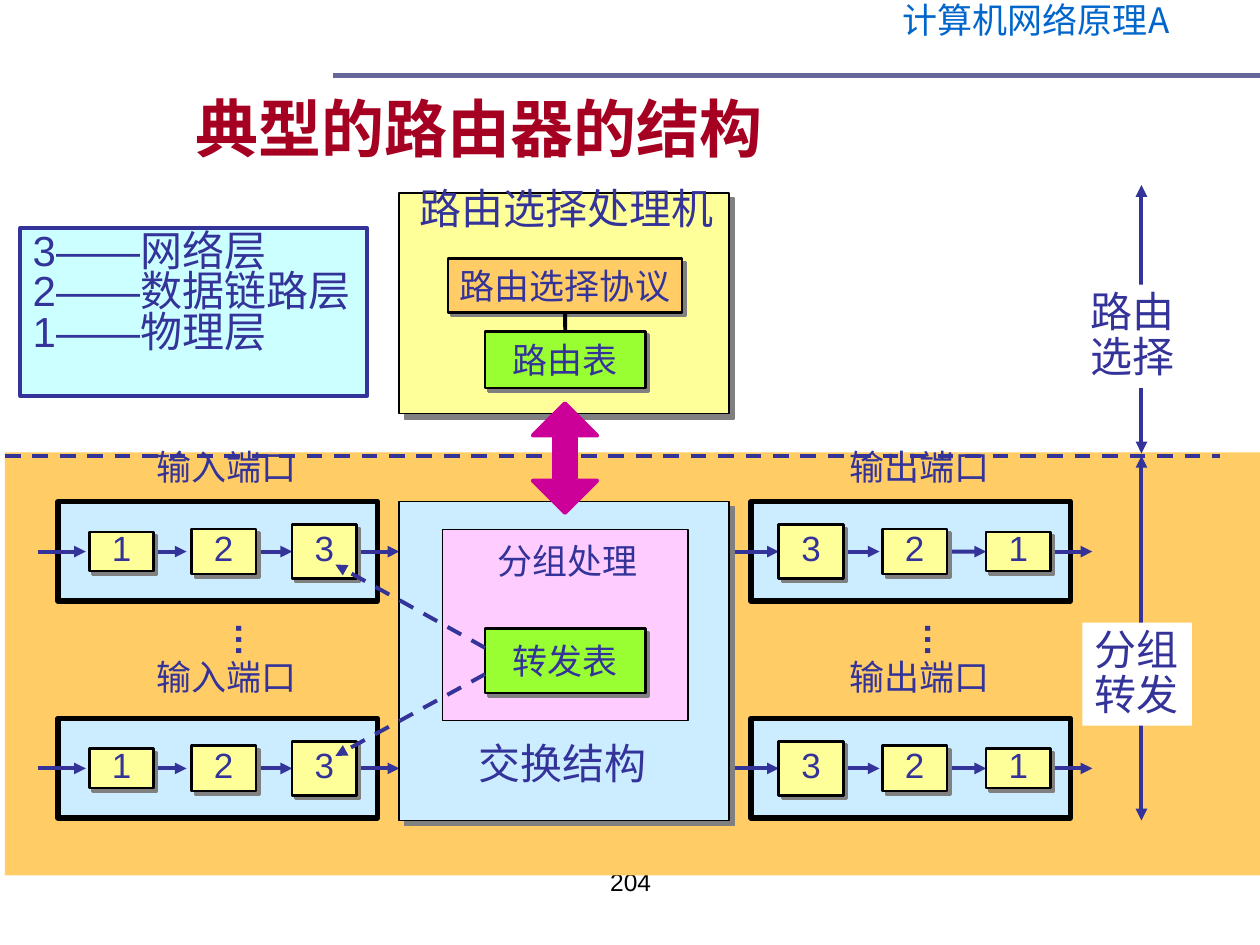
from dataclasses import dataclass

from lxml.etree import SubElement
from pptx import Presentation
from pptx.dml.color import RGBColor
from pptx.enum.dml import MSO_LINE
from pptx.enum.shapes import MSO_CONNECTOR, MSO_SHAPE
from pptx.enum.text import MSO_ANCHOR, MSO_AUTO_SIZE, PP_ALIGN
from pptx.oxml.ns import qn
from pptx.util import Cm, Pt


@dataclass(frozen=True)
class Theme:
    ink: str = "333399"
    black: str = "000000"
    white: str = "FFFFFF"
    header: str = "0066CC"
    rule: str = "666699"
    title: str = "A50021"
    orange: str = "FFCC66"
    yellow: str = "FFFF99"
    green: str = "99FF33"
    blue: str = "CCECFF"
    cyan: str = "CCFFFF"
    pink: str = "FFCCFF"
    magenta: str = "CC0099"
    shadow: str = "808080"
    font: str = "Arial"
    header_font: str = "Noto Sans CJK SC"
    title_size: int = 36
    large: int = 24
    medium: int = 20
    small: int = 14


THEME = Theme()
BLOCK_WIDTH = 1.3
BLOCK_HEIGHTS = {"1": 0.79, "2": 0.91, "3": 1.09}
LANES = [(11.12, 9.02), (15.49, 13.26)]  # lane axis, port caption top


def rgb(value):
    return RGBColor.from_string(value)


def write(frame, text, size, color=THEME.ink, font=THEME.font, bold=False,
          align=PP_ALIGN.LEFT, spacing=None):
    frame.text = text
    for paragraph in frame.paragraphs:
        paragraph.alignment = align
        if spacing:
            paragraph.line_spacing = spacing
        for run in paragraph.runs:
            run.font.size = Pt(size)
            run.font.name = font
            run.font.bold = bold
            run.font.color.rgb = rgb(color)


def add_shadow(shape, distance):
    effects = shape._element.spPr.find(qn("a:effectLst"))
    outer = SubElement(effects, qn("a:outerShdw"), blurRad="0",
                       dist=str(Pt(distance)), dir="2700000", algn="ctr", rotWithShape="0")
    SubElement(outer, qn("a:srgbClr"), val=THEME.shadow)


def add_panel(slide, area, fill, line=None, width=1, shadow=0, kind=MSO_SHAPE.RECTANGLE):
    panel = slide.shapes.add_shape(kind, *map(Cm, area))
    panel.shadow.inherit = False
    panel.fill.solid()
    panel.fill.fore_color.rgb = rgb(fill)
    if line:
        panel.line.color.rgb = rgb(line)
        panel.line.width = Pt(width)
    else:
        panel.line.fill.background()
    if shadow:
        add_shadow(panel, shadow)
    return panel


def add_block(slide, area, text, fill, spacing=None):
    """Small shadowed box with centred text."""
    block = add_panel(slide, area, fill, THEME.black, 1.5, 2.8)
    block.text_frame.word_wrap = False
    block.text_frame.vertical_anchor = MSO_ANCHOR.MIDDLE
    write(block.text_frame, text, THEME.medium, align=PP_ALIGN.CENTER, spacing=spacing)
    return block


def add_note(slide, area, text, fill, line=None, width=1, spacing=0.9, wrap=False):
    """Filled box with several left-aligned lines."""
    note = add_panel(slide, area, fill, line, width)
    note.text_frame.word_wrap = wrap
    note.text_frame.auto_size = MSO_AUTO_SIZE.SHAPE_TO_FIT_TEXT
    note.text_frame.vertical_anchor = MSO_ANCHOR.TOP
    write(note.text_frame, text, THEME.large, spacing=spacing)


def add_caption(slide, area, text, size=THEME.medium, spacing=0.8, **style):
    caption = slide.shapes.add_textbox(*map(Cm, area))
    caption.text_frame.word_wrap = False
    caption.text_frame.auto_size = MSO_AUTO_SIZE.SHAPE_TO_FIT_TEXT
    write(caption.text_frame, text, size, spacing=spacing, **style)
    return caption


def add_line(slide, start, end, color=THEME.ink, width=2.25, head=False, tail=False, dash=False):
    line = slide.shapes.add_connector(MSO_CONNECTOR.STRAIGHT, *map(Cm, (*start, *end)))
    line.line.color.rgb = rgb(color)
    line.line.width = Pt(width)
    if dash:
        line.line.dash_style = MSO_LINE.DASH
    for tag, wanted in (("a:headEnd", head), ("a:tailEnd", tail)):
        if wanted:
            SubElement(line.line._get_or_add_ln(), qn(tag), type="triangle")
    SubElement(line._element.spPr, qn("a:effectLst"))
    return line


def add_port(slide, left, axis, caption, caption_area, layers, spans):
    """Port frame with its three layer blocks and the packet flow through them."""
    add_panel(slide, (left, axis - 1.01, 6.44, 2.01), THEME.blue, THEME.black, 3)
    add_caption(slide, caption_area, caption)
    flows = [add_line(slide, (x1, axis), (x2, axis), tail=True) for x1, x2 in spans]
    for i, (layer, x) in enumerate(layers):
        height = BLOCK_HEIGHTS[layer]
        block = add_block(slide, (x, axis - height / 2, BLOCK_WIDTH, height),
                          layer, THEME.yellow, 0.8)
        if spans[i][1] == x:
            flows[i].end_connect(block, 1)
        if abs(spans[i + 1][0] - x - BLOCK_WIDTH) < 0.01:
            flows[i + 1].begin_connect(block, 3)


def add_heading(slide):
    add_caption(slide, (17.09, 0, 7.59, 1.12), "计算机网络原理A", color=THEME.header,
                font=THEME.header_font, align=PP_ALIGN.CENTER)
    add_line(slide, (6.71, 1.52), (25.4, 1.52), THEME.rule, 3)
    title = slide.shapes.title
    title.left, title.top, title.width, title.height = map(Cm, (3.71, 1.52, 19.05, 1.93))
    frame = title.text_frame
    frame.auto_size = MSO_AUTO_SIZE.NONE
    frame.vertical_anchor = MSO_ANCHOR.BOTTOM
    frame.margin_left, frame.margin_right = Cm(0), Cm(7.14)
    write(frame, "典型的路由器的结构", THEME.title_size, THEME.title, bold=True,
          align=PP_ALIGN.CENTER)
    page_number = slide.shapes.add_textbox(*map(Cm, (8.69, 17.35, 8.05, 1.32)))
    page_number.text_frame.word_wrap = True
    write(page_number.text_frame, "204", THEME.small, THEME.black, align=PP_ALIGN.CENTER)


def add_routing_processor(slide):
    add_panel(slide, (8.05, 3.89, 6.65, 4.45), THEME.yellow, THEME.black, 1, 4.2)
    add_caption(slide, (8.2, 3.76, 6.43, 1.27), "路由选择处理机", THEME.large)
    protocol = add_block(slide, (9.03, 5.21, 4.72, 1.09), "路由选择协议", THEME.orange)
    table = add_block(slide, (9.78, 6.68, 3.23, 1.14), "路由表", THEME.green)
    link = add_line(slide, (11.39, 6.3), (11.39, 6.68), THEME.black)
    link.begin_connect(protocol, 2)
    link.end_connect(table, 0)


def add_ports(slide):
    input_layers = [("1", 1.8), ("2", 3.86), ("3", 5.89)]
    input_spans = [(0.76, 1.73), (2.9, 3.76), (5.05, 5.89), (7.19, 8.05)]
    output_layers = [("3", 15.7), ("2", 17.79), ("1", 19.88)]
    output_spans = [(14.71, 15.7), (16.87, 17.73), (19, 19.88), (21.13, 22.02)]
    for axis, top in LANES:
        add_port(slide, 1.17, axis, "输入端口", (2.9, top, 3.33, 1.09),
                 input_layers, input_spans)
        add_port(slide, 15.14, axis, "输出端口", (16.87, top, 3.33, 1.09),
                 output_layers, output_spans)
    for x in (4.27, 18.16):
        add_caption(slide, (x, 12.37, 1.22, 1.09), "…", bold=True).rotation = 90


def add_switch_fabric(slide):
    add_panel(slide, (8.05, 10.11, 6.65, 6.43), THEME.blue, THEME.black, 1, 4.2)
    add_caption(slide, (9.4, 14.94, 3.89, 1.27), "交换结构", THEME.large)
    add_panel(slide, (8.92, 10.67, 4.95, 3.86), THEME.pink, THEME.black, 0.75)
    add_block(slide, (9.78, 12.67, 3.23, 1.3), "转发表", THEME.green)
    add_caption(slide, (9.78, 10.92, 3.33, 1.09), "分组处理")
    for start_y, end_y in ((13.06, 11.38), (13.59, 15.24)):
        add_line(slide, (9.78, start_y), (6.76, end_y), tail=True, dash=True)


def add_scopes(slide):
    """Divider and the two vertical spans on the right."""
    add_line(slide, (0.1, 9.19), (24.59, 9.19), dash=True)
    for top, bottom, left, label_top, text in (
            (3.73, 9.14, 21.74, 5.74, "路由\n选择"),
            (9.19, 16.54, 21.82, 12.55, "分组\n转发")):
        add_line(slide, (23.01, top), (23.01, bottom), head=True, tail=True)
        add_note(slide, (left, label_top, 2.21, 2.08), text, THEME.white)


def main():
    presentation = Presentation()
    presentation.slide_width, presentation.slide_height = Cm(25.4), Cm(19.05)
    slide = presentation.slides.add_slide(presentation.slide_layouts[5])
    add_heading(slide)
    # Forwarding area behind the lower half
    add_panel(slide, (0.1, 9.12, 25.3, 8.53), THEME.orange)
    add_routing_processor(slide)
    add_ports(slide)
    add_switch_fabric(slide)
    add_scopes(slide)
    # Layer legend
    add_note(slide, (0.41, 4.6, 6.99, 3.38), "3——网络层\n2——数据链路层\n1——物理层",
             THEME.cyan, THEME.ink, 2.25, 0.8, True)
    # Exchange between processor and switch fabric
    exchange = add_panel(slide, (10.74, 8.13, 1.3, 2.21), THEME.magenta, THEME.magenta,
                         2.25, kind=MSO_SHAPE.UP_DOWN_ARROW)
    exchange.adjustments[0], exchange.adjustments[1] = 0.5, 0.34
    presentation.save("out.pptx")


if __name__ == "__main__":
    main()
